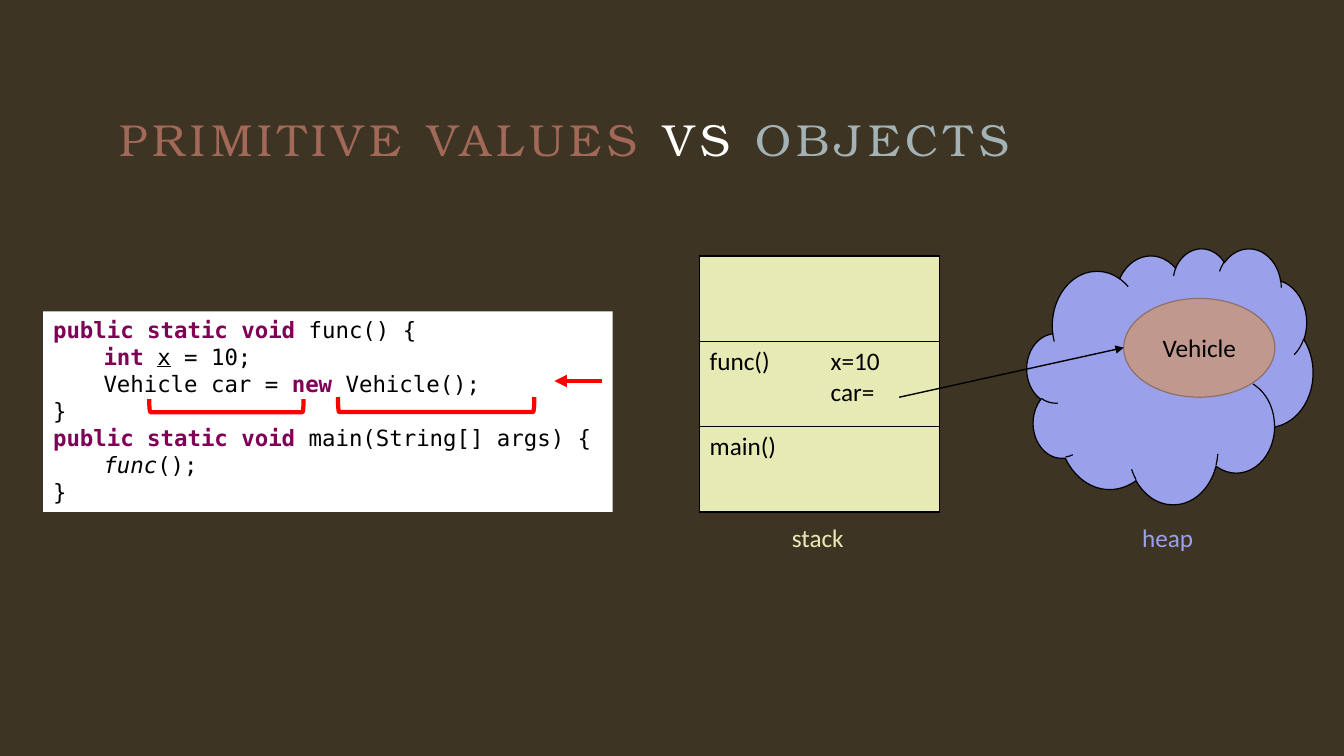
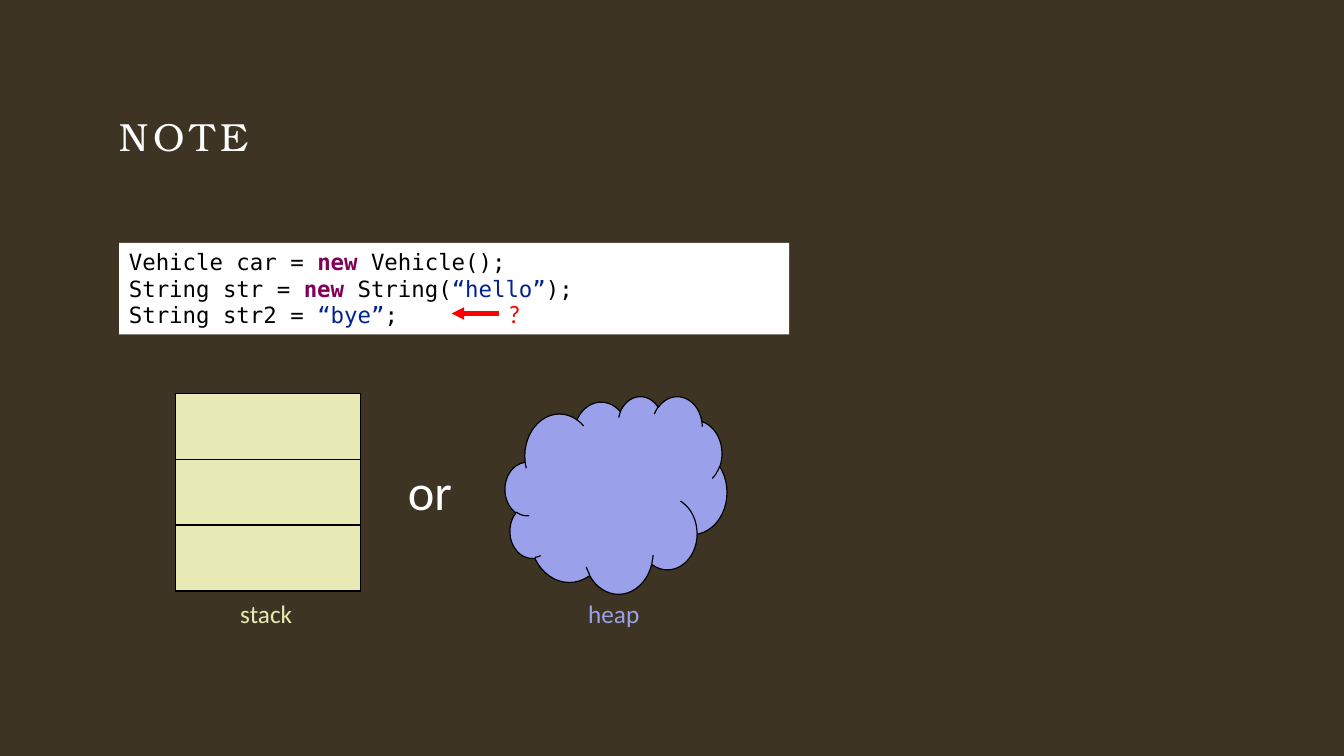
import pptx
import pptx.dml.color
import pptx.enum.shapes
import pptx.enum.text
import pptx.oxml
import pptx.oxml.ns
import pptx.util
from pptx.util import Cm

COLOURS = {
    "background": "3E3423",
    "white": "FFFFFF",
    "black": "000000",
    "keyword": "7F0055",
    "string": "002291",
    "stack": "E8EAB5",
    "heap": "9BA0EA",
    "object": "C1988D",
    "object line": "8F7068",
    "primitive title": "A26858",
    "object title": "A2B2B5",
    "mark": "FF0000",
}
TITLE_FONT = "TeX Gyre Bonum"
CODE_FONT = "DejaVu Sans Mono"
BODY_FONT = "Calibri"
SHAPES = pptx.enum.shapes.MSO_SHAPE
ALIGN = pptx.enum.text.PP_ALIGN
ANCHOR = pptx.enum.text.MSO_ANCHOR
AUTO_SIZE = pptx.enum.text.MSO_AUTO_SIZE

# Code is a list of lines; each line is a list of (text, style) spans.
CODE_STYLES = {
    "plain": {},
    "keyword": {"colour": "keyword", "bold": True},
    "string": {"colour": "string"},
    "unused": {"underline": True},
    "static call": {"italic": True},
}
FUNCTION_CODE = [
    [("public static void ", "keyword"), ("func() {", "plain")],
    [("\tint ", "keyword"), ("x", "unused"), (" = 10;", "plain")],
    [("\tVehicle car = ", "plain"), ("new", "keyword"), (" Vehicle();", "plain")],
    [("}", "plain")],
    [("public static void ", "keyword"), ("main(String[] args) {", "plain")],
    [("\tfunc", "static call"), ("();", "plain")],
    [("}", "plain")],
]
STRING_CODE = [
    [("Vehicle car = ", "plain"), ("new", "keyword"), (" Vehicle();", "plain")],
    [("String str = ", "plain"), ("new", "keyword"), (" String(", "plain"),
     ("“hello”", "string"), (");", "plain")],
    [("String str2 = ", "plain"), ("“bye”", "string"), (";", "plain")],
]


def rgb(name):
    return pptx.dml.color.RGBColor.from_string(COLOURS[name])


def format_span(span, font, size, colour="black", bold=False, italic=False,
                underline=False):
    span.font.name = font
    span.font.size = pptx.util.Pt(size)
    span.font.color.rgb = rgb(colour)
    span.font.bold = bold
    span.font.italic = italic
    span.font.underline = underline


def add_span(para, text, font, size, **style):
    span = para.add_run()
    span.text = text
    format_span(span, font, size, **style)
    return span


def add_slide(deck, size, title_spans):
    slide = deck.slides.add_slide(deck.slide_layouts[5])
    title = slide.shapes.title
    title.left, title.top, title.width, title.height = (
        Cm(3), Cm(2.82), Cm(27.86), Cm(1.83))
    frame = title.text_frame
    frame.auto_size = AUTO_SIZE.NONE
    frame.vertical_anchor = ANCHOR.TOP
    frame.margin_left = frame.margin_right = 0
    frame.margin_top = frame.margin_bottom = 0
    para = frame.paragraphs[0]
    para.alignment = ALIGN.LEFT
    for text, colour in title_spans:
        span = add_span(para, text, TITLE_FONT, size, colour=colour)
        span.font._element.set("spc", "400")
    return slide


def add_shape(slide, kind, left, top, width, height, fill=None, line=None,
              line_width=0.85):
    shape = slide.shapes.add_shape(kind, Cm(left), Cm(top), Cm(width), Cm(height))
    shape.shadow.inherit = False
    if fill:
        shape.fill.solid()
        shape.fill.fore_color.rgb = rgb(fill)
    else:
        shape.fill.background()
    if line:
        shape.line.color.rgb = rgb(line)
        shape.line.width = pptx.util.Pt(line_width)
    else:
        shape.line.fill.background()
    return shape


def add_code(slide, left, top, width, height, lines):
    box = add_shape(slide, SHAPES.RECTANGLE, left, top, width, height, fill="white")
    frame = box.text_frame
    frame.word_wrap = True
    frame.vertical_anchor = ANCHOR.TOP
    for number, line in enumerate(lines):
        para = frame.add_paragraph() if number else frame.paragraphs[0]
        para.alignment = ALIGN.LEFT
        for text, style in line:
            add_span(para, text, CODE_FONT, 16, **CODE_STYLES[style])


def add_label(slide, text, left, top, width, height, colour, size=18):
    box = slide.shapes.add_textbox(Cm(left), Cm(top), Cm(width), Cm(height))
    box.text_frame.word_wrap = False
    box.text_frame.auto_size = AUTO_SIZE.SHAPE_TO_FIT_TEXT
    add_span(box.text_frame.paragraphs[0], text, BODY_FONT, size, colour=colour)


def add_caption(slide, text, centre, top):
    """Name a memory area below it, in the colour of that area."""
    width = 1.9
    add_label(slide, text, centre - width / 2, top, width, 1.02, text)


def add_arrow(slide, start, end, colour, width):
    arrow = slide.shapes.add_connector(
        pptx.enum.shapes.MSO_CONNECTOR.STRAIGHT, *map(Cm, start + end))
    arrow.line.color.rgb = rgb(colour)
    arrow.line.width = pptx.util.Pt(width)
    add_xml(arrow.line._get_or_add_ln(), '<a:tailEnd {} type="triangle"/>')
    add_xml(arrow._element.spPr, "<a:effectLst {}/>")


def add_xml(parent, template):
    xml = template.format(pptx.oxml.ns.nsdecls("a"))
    parent.append(pptx.oxml.parse_xml(xml))


def add_bracket(slide, left, top, width, height):
    """Mark a span of code from below with a bracket turned on its side."""
    bracket = add_shape(slide, SHAPES.RIGHT_BRACKET, left, top, width, height,
                        line="mark", line_width=3)
    bracket.rotation = 90


def add_borders(cell):
    for side in ("lnL", "lnR", "lnT", "lnB"):
        add_xml(cell._tc.get_or_add_tcPr(),
                f'<a:{side} {{}} w="12700"><a:solidFill><a:srgbClr '
                f'val="{COLOURS["black"]}"/></a:solidFill></a:{side}>')


def add_stack(slide, left, top, width, row_height, caption_top, frames=("", "", "")):
    """Draw a stack with one row per frame; tabs in a frame lead to its variables."""
    table = slide.shapes.add_table(
        len(frames), 1, Cm(left), Cm(top), Cm(width),
        Cm(row_height * len(frames))).table
    table.first_row = table.horz_banding = False
    for row, text in zip(table.rows, frames):
        row.height = Cm(row_height)
        cell = row.cells[0]
        add_borders(cell)
        cell.fill.solid()
        cell.fill.fore_color.rgb = rgb("stack")
        cell.text_frame.text = text
        for para in cell.text_frame.paragraphs:
            if "\t" in para.text:
                add_xml(para._p.get_or_add_pPr(),
                        f'<a:tabLst {{}}><a:tab pos="{Cm(3.05)}" algn="l"/></a:tabLst>')
            for span in para.runs:
                format_span(span, BODY_FONT, 18)
    add_caption(slide, "stack", left + width / 2, caption_top)


def add_heap(slide, left, top, width, height, caption_top):
    add_shape(slide, SHAPES.CLOUD, left, top, width, height, "heap", "black")
    add_caption(slide, "heap", left + width / 2, caption_top)


def add_object(slide, text, left, top, width, height):
    oval = add_shape(slide, SHAPES.OVAL, left, top, width, height,
                     "object", "object line")
    oval.text_frame.vertical_anchor = ANCHOR.MIDDLE
    para = oval.text_frame.paragraphs[0]
    para.alignment = ALIGN.CENTER
    add_span(para, text, BODY_FONT, 18)


def add_values_slide(deck):
    slide = add_slide(deck, 32, [("PRIMITIVE VALUES ", "primitive title"),
                                 ("VS ", "white"), ("OBJECTS", "object title")])
    add_code(slide, 1.09, 7.85, 14.35, 5.05, FUNCTION_CODE)
    add_stack(slide, 17.63, 6.45, 6.05, 2.15, 13.03,
              ("", "func()\tx=10\n\tcar=", "main()"))
    add_heap(slide, 25.88, 6.25, 7.21, 6.45, 13.03)
    add_arrow(slide, (15.16, 9.6), (13.97, 9.6), "mark", 3)
    add_bracket(slide, 5.54, 8.28, 0.33, 3.89)
    add_bracket(slide, 10.8, 7.72, 0.38, 4.95)
    add_object(slide, "Vehicle", 28.32, 7.52, 3.81, 2.49)
    add_arrow(slide, (22.66, 10.01), (28.32, 8.76), "black", 1)


def add_note_slide(deck):
    slide = add_slide(deck, 28, [("NOTE", "white")])
    add_code(slide, 3, 6.12, 16.89, 2.31, STRING_CODE)
    add_arrow(slide, (12.57, 7.9), (11.38, 7.9), "mark", 3)
    add_label(slide, "?", 12.57, 7.39, 0.81, 1.02, "mark")
    add_stack(slide, 4.42, 9.91, 4.67, 1.66, 14.94)
    add_heap(slide, 12.73, 9.98, 5.59, 4.98, 14.94)
    add_label(slide, "or", 10.03, 11.48, 1.73, 1.8, "white", size=36)


def main():
    deck = pptx.Presentation()
    deck.slide_width, deck.slide_height = Cm(33.87), Cm(19.05)
    background = deck.slide_master.background.fill
    background.solid()
    background.fore_color.rgb = rgb("background")
    add_values_slide(deck)
    add_note_slide(deck)
    deck.save("out.pptx")


if __name__ == "__main__":
    main()
